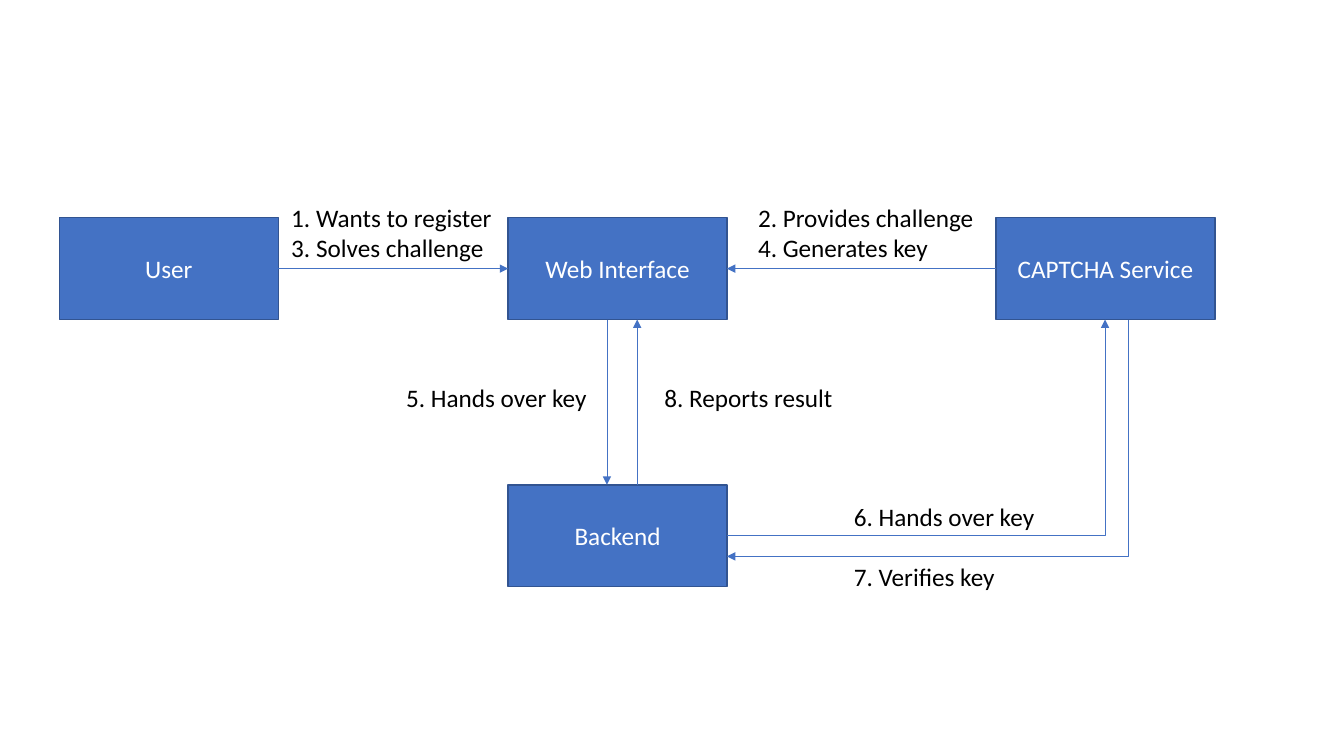
from pptx import Presentation
from pptx.dml.color import RGBColor
from pptx.enum import shapes as sh, text as tx
from pptx.oxml import ns, xmlchemy as xc
from pptx.util import Inches, Pt

BLUE, EDGE, WHITE, BLACK = "4472C4", "325491", "FFFFFF", "000000"
WIDE, HIGH = 2.17, 1.01


def color(code):
    """Turn a hex string into a colour."""
    return RGBColor.from_string(code)


def write(frame, lines, code, align):
    """Fill a text frame with one paragraph per line."""
    frame.text = "\n".join(lines)
    for para in frame.paragraphs:
        para.alignment = align
        para.font.name, para.font.size = "Calibri", Pt(18)
        para.font.color.rgb = color(code)


def node(slide, left, top, name):
    """Draw one named component of the flow."""
    rect = slide.shapes.add_shape(
        sh.MSO_SHAPE.RECTANGLE, *map(Inches, (left, top, WIDE, HIGH)))
    rect.shadow.inherit = False
    rect.fill.solid()
    rect.fill.fore_color.rgb = color(BLUE)
    rect.line.color.rgb = color(EDGE)
    rect.line.width = Pt(1)
    rect.text_frame.vertical_anchor = tx.MSO_ANCHOR.MIDDLE
    write(rect.text_frame, [name], WHITE, tx.PP_ALIGN.CENTER)


def label(slide, left, top, wide, *lines):
    """Place the step texts beside an arrow."""
    high = 0.1 + 0.3 * len(lines)
    area = slide.shapes.add_textbox(*map(Inches, (left, top, wide, high)))
    area.text_frame.word_wrap = False
    write(area.text_frame, lines, BLACK, tx.PP_ALIGN.LEFT)


def arrow(slide, start, stop, bent=False, end="tailEnd"):
    """Join two points, straight or with one corner, with one arrowhead."""
    kind = sh.MSO_CONNECTOR.ELBOW if bent else sh.MSO_CONNECTOR.STRAIGHT
    link = slide.shapes.add_connector(kind, *map(Inches, start + stop))
    link.line.color.rgb = color(BLUE)
    link.line.width = Pt(0.5)
    props = link._element.spPr
    if bent:
        props.find(ns.qn("a:prstGeom")).set("prst", "bentConnector2")
    tip = xc.OxmlElement("a:" + end)
    tip.set("type", "triangle")
    link.line._get_or_add_ln().append(tip)
    props.append(xc.OxmlElement("a:effectLst"))


def flow(slide, left, top):
    """Draw the registration flow from its top left corner."""
    web, check = left + 4.45, left + 9.29
    back = top + 2.65
    mid, low = top + HIGH / 2, top + HIGH
    right = web + WIDE

    node(slide, left, top, "User")
    node(slide, web, top, "Web Interface")
    node(slide, check, top, "CAPTCHA Service")
    node(slide, web, back, "Backend")

    arrow(slide, (left + WIDE, mid), (web, mid))
    arrow(slide, (check, mid), (right, mid))
    arrow(slide, (web + 0.98, low), (web + 0.98, back))
    arrow(slide, (web + 1.28, back), (web + 1.28, low))
    arrow(slide, (right, back + 0.5), (check + 1.08, low), True)
    arrow(slide, (right, back + 0.71), (check + 1.31, low), True, "headEnd")

    label(slide, left + 2.2, top - 0.2, 2.21,
          "1. Wants to register", "3. Solves challenge")
    label(slide, right + 0.21, top - 0.2, 2.36,
          "2. Provides challenge", "4. Generates key")
    label(slide, web - 1.11, low + 0.57, 2.01, "5. Hands over key")
    label(slide, web + 1.45, low + 0.57, 1.89, "8. Reports result")
    label(slide, right + 1.16, back + 0.11, 2.01, "6. Hands over key")
    label(slide, right + 1.16, back + 0.71, 1.62, "7. Verifies key")


deck = Presentation()
deck.slide_width, deck.slide_height = Inches(13.33), Inches(7.5)
flow(deck.slides.add_slide(deck.slide_layouts[6]), 0.59, 2.16)
deck.save("out.pptx")
